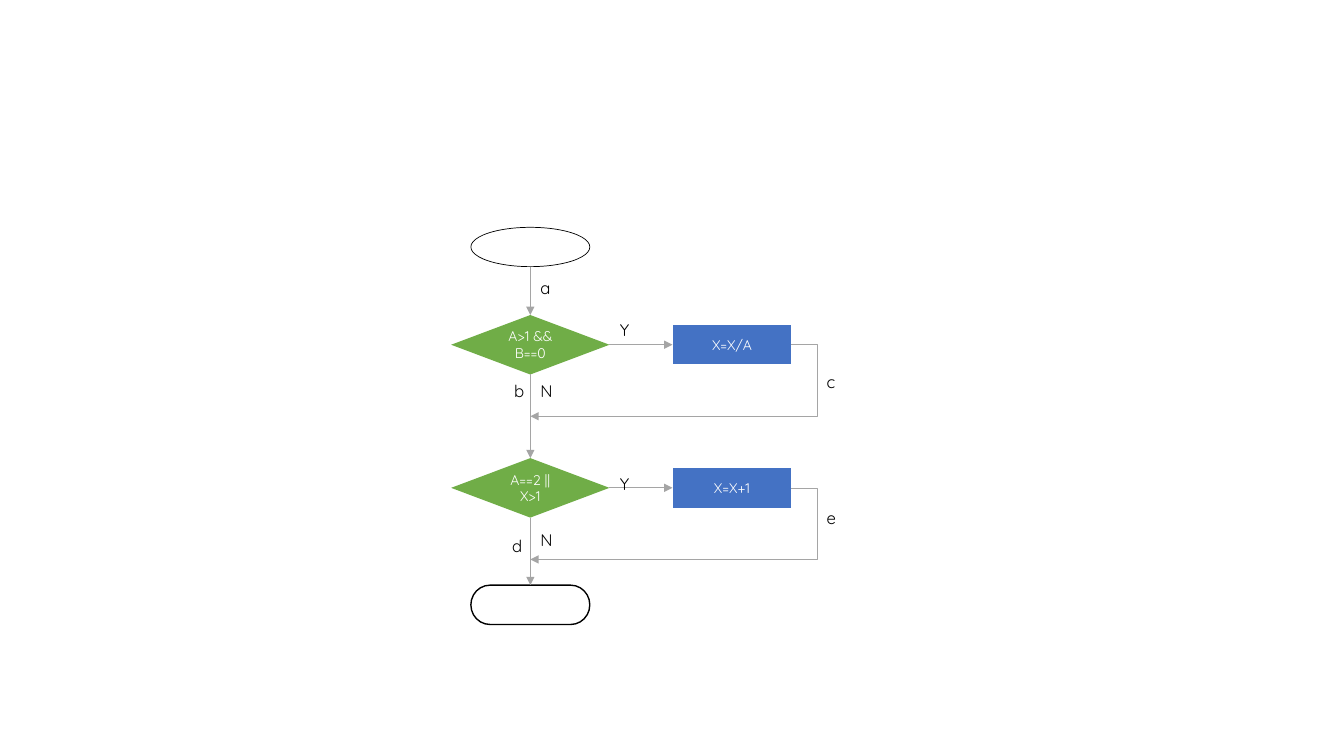
"""Build a flowchart slide with two decisions and their assignment branches."""
from lxml.etree import SubElement
from pptx import Presentation
from pptx.dml.color import RGBColor
from pptx.enum.shapes import MSO_CONNECTOR, MSO_SHAPE
from pptx.enum.text import MSO_ANCHOR, PP_ALIGN
from pptx.oxml.ns import qn
from pptx.util import Inches, Pt

STEPS = [("A>1 && B==0", "X=X/A"), ("A==2 || X>1", "X=X+1")]
LABELS = [
    ("Y", 6.05, 3.08), ("Y", 6.05, 4.6), ("N", 5.26, 3.68), ("N", 5.26, 5.16),
    ("a", 5.26, 2.66), ("b", 5, 3.68), ("c", 8.1, 3.59),
    ("d", 4.98, 5.22), ("e", 8.1, 4.94),
]
THEME = {
    "font": "Quicksand", "node_size": 10, "label_size": 12, "thin": 0.5, "thick": 1,
    "text": "000000", "node_text": "FFFFFF", "outline": "000000",
    "decision": "70AD47", "process": "4472C4", "arrow": "A5A5A5",
}
MAIN_X, PROCESS_X = 5.26, 7.26
START_Y, FIRST_Y, STEP_GAP, END_Y = 2.45, 3.42, 1.42, 6
BOX_SIZE, DECISION_SIZE, LABEL_SIZE = (1.18, 0.39), (1.57, 0.59), (0.79, 0.39)
RETURN_DROP, RETURN_BEND = 0.71, -0.1
TOP, LEFT, BOTTOM, RIGHT = range(4)


def color(name):
    return RGBColor.from_string(THEME[name])


def write(shape, text, size, text_color, alignment):
    frame = shape.text_frame
    frame.word_wrap = True
    frame.vertical_anchor = MSO_ANCHOR.MIDDLE
    frame.text = text
    paragraph = frame.paragraphs[0]
    paragraph.alignment = alignment
    font = paragraph.runs[0].font
    font.name, font.size = THEME["font"], Pt(THEME[size])
    font.color.rgb = color(text_color)


def add_node(slide, kind, center_x, center_y, size, text="", fill=None, line=None):
    width, height = size
    shape = slide.shapes.add_shape(
        kind, Inches(center_x - width / 2), Inches(center_y - height / 2),
        Inches(width), Inches(height))
    shape.shadow.inherit = False
    if fill:
        shape.fill.solid()
        shape.fill.fore_color.rgb = color(fill)
    else:
        shape.fill.background()
    if line:
        shape.line.color.rgb = color("outline")
        shape.line.width = Pt(THEME[line])
    else:
        shape.line.fill.background()
    if text:
        write(shape, text, "node_size", "node_text", PP_ALIGN.CENTER)
    return shape


def add_arrow(slide, start=(0, 0), end=(0, 0), kind=MSO_CONNECTOR.STRAIGHT):
    arrow = slide.shapes.add_connector(kind, *map(Inches, start + end))
    arrow.line.color.rgb = color("arrow")
    arrow.line.width = Pt(THEME["thin"])
    SubElement(arrow.line._get_or_add_ln(), qn("a:tailEnd"), type="triangle")
    SubElement(arrow._element.spPr, qn("a:effectLst"))
    return arrow


def join(slide, source, source_side, target, target_side):
    arrow = add_arrow(slide)
    arrow.begin_connect(source, source_side)
    arrow.end_connect(target, target_side)


def add_return(slide, center_y):
    start_x = PROCESS_X + BOX_SIZE[0] / 2
    arrow = add_arrow(slide, (start_x, center_y), (MAIN_X, center_y + RETURN_DROP),
                      MSO_CONNECTOR.ELBOW)
    adjustments = arrow._element.spPr.find(qn("a:prstGeom")).find(qn("a:avLst"))
    SubElement(adjustments, qn("a:gd"), name="adj1",
               fmla=f"val {round(RETURN_BEND * 100000)}")


def main():
    presentation = Presentation()
    presentation.slide_width, presentation.slide_height = Inches(13.33), Inches(7.5)
    slide = presentation.slides.add_slide(presentation.slide_layouts[6])

    add_node(slide, MSO_SHAPE.OVAL, MAIN_X, START_Y, BOX_SIZE, line="thin")
    decisions = []
    for index, (condition, assignment) in enumerate(STEPS):
        center_y = FIRST_Y + index * STEP_GAP
        decision = add_node(slide, MSO_SHAPE.FLOWCHART_DECISION, MAIN_X, center_y,
                            DECISION_SIZE, condition, "decision")
        process = add_node(slide, MSO_SHAPE.FLOWCHART_PROCESS, PROCESS_X, center_y,
                           BOX_SIZE, assignment, "process")
        join(slide, decision, RIGHT, process, LEFT)
        add_return(slide, center_y)
        decisions.append(decision)
    finish = add_node(slide, MSO_SHAPE.FLOWCHART_TERMINATOR, MAIN_X, END_Y, BOX_SIZE,
                      line="thick")

    entry = add_arrow(slide, (MAIN_X, START_Y + BOX_SIZE[1] / 2), (MAIN_X, FIRST_Y))
    entry.end_connect(decisions[0], TOP)
    for source, target in zip(decisions, decisions[1:] + [finish]):
        join(slide, source, BOTTOM, target, TOP)

    for text, left, top in LABELS:
        box = slide.shapes.add_textbox(*map(Inches, (left, top) + LABEL_SIZE))
        write(box, text, "label_size", "text", PP_ALIGN.LEFT)

    presentation.save("out.pptx")


if __name__ == "__main__":
    main()
